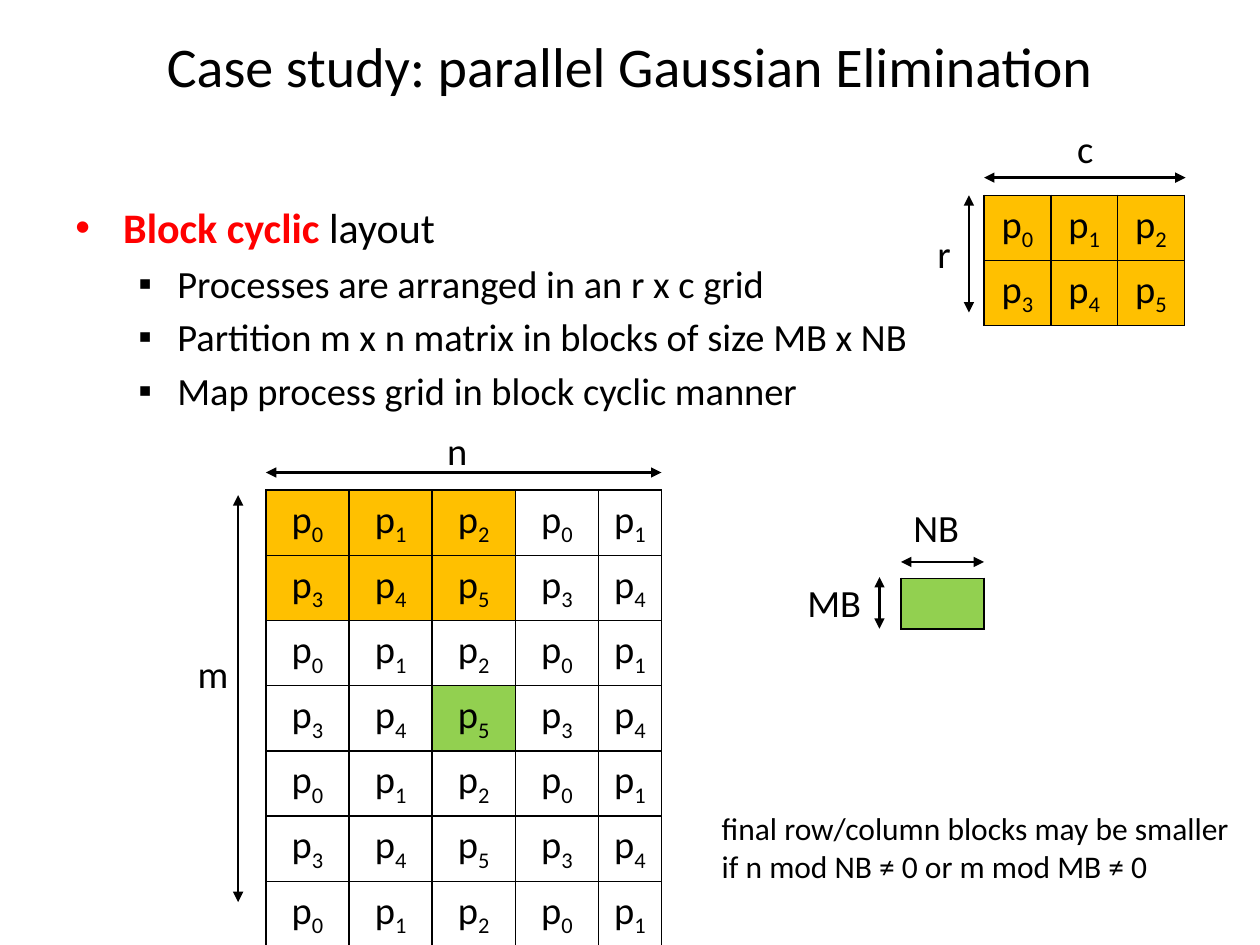
import lxml.etree
import pptx
import pptx.dml.color
import pptx.enum.shapes
import pptx.enum.text
import pptx.oxml
import pptx.oxml.ns
import pptx.util

Inches = pptx.util.Inches
Pt = pptx.util.Pt
qn = pptx.oxml.ns.qn
BLACK, RED, ORANGE, GREEN = "000000", "FF0000", "FFC000", "92D050"


def color(hex_value):
    return pptx.dml.color.RGBColor.from_string(hex_value)


def style_font(font, size):
    font.name = "Calibri"
    font.size = Pt(size)
    font.color.rgb = color(BLACK)


presentation = pptx.Presentation()
presentation.slide_width = Inches(10)
presentation.slide_height = Inches(7.5)
slide = presentation.slides.add_slide(presentation.slide_layouts[5])
shapes = slide.shapes

title = shapes.title
title.left, title.top = Inches(0.5), Inches(0.17)
title.width, title.height = Inches(9), Inches(0.7)
title.text_frame.text = "Case study: parallel Gaussian Elimination"
title.text_frame.vertical_anchor = pptx.enum.text.MSO_ANCHOR.MIDDLE
title.text_frame.paragraphs[0].alignment = pptx.enum.text.PP_ALIGN.CENTER
style_font(title.text_frame.paragraphs[0].font, 32)

bullets = [
    (0, "•", "Arial", 0.38, 0.38, 24, ["Block cyclic", " layout"]),
    (1, "▪", "Wingdings", 0.81, 0.31, 22, ["Processes are arranged in an r x c grid"]),
    (1, "▪", "Wingdings", 0.81, 0.31, 22, ["Partition m x n matrix in blocks of size MB x NB"]),
    (1, "▪", "Wingdings", 0.81, 0.31, 22, ["Map process grid in block cyclic manner"]),
]
body = shapes.add_textbox(Inches(0.5), Inches(1.55), Inches(9), Inches(4.95)).text_frame
body.word_wrap = True
for index, (level, mark, mark_font, margin, hanging, size, texts) in enumerate(bullets):
    paragraph = body.add_paragraph() if index else body.paragraphs[0]
    paragraph.level = level
    paragraph.space_before = Pt(size * 0.2)
    properties = paragraph._p.get_or_add_pPr()
    properties.set("marL", str(Inches(margin)))
    properties.set("indent", str(-Inches(hanging)))
    bullet_font = "Arial" if mark == "▪" else mark_font
    lxml.etree.SubElement(properties, qn("a:buFont")).set("typeface", bullet_font)
    lxml.etree.SubElement(properties, qn("a:buChar")).set("char", mark)
    style_font(paragraph.font, size)
    for text in texts:
        paragraph.add_run().text = text
term = body.paragraphs[0].runs[0].font
term.bold = True
term.color.rgb = color(RED)

process_rows, process_columns = 2, 3
process_block = {(row, column): ORANGE for row in range(process_rows) for column in range(process_columns)}
tables = [
    (7.81, 1.55, [0.53] * 3, [0.41] * 2, process_block, True),
    (2.11, 3.89, [0.66] * 4 + [0.5], [0.3] + [0.41] * 5 + [0.26], {**process_block, (3, 2): GREEN}, True),
    (7.15, 4.59, [0.66], [0.4], {(0, 0): GREEN}, False),
]
for left, top, widths, heights, fills, has_labels in tables:
    table = shapes.add_table(
        len(heights), len(widths), Inches(left), Inches(top), Inches(sum(widths)), Inches(sum(heights))
    ).table
    table.first_row = False
    table.horz_banding = False
    for column, width in enumerate(widths):
        table.columns[column].width = Inches(width)
    for row, height in enumerate(heights):
        table.rows[row].height = Inches(height)
        for column in range(len(widths)):
            cell = table.cell(row, column)
            cell_properties = cell._tc.get_or_add_tcPr()
            for side in ("a:lnL", "a:lnR", "a:lnT", "a:lnB"):
                border = lxml.etree.SubElement(cell_properties, qn(side), w=str(Pt(1)))
                border_fill = lxml.etree.SubElement(border, qn("a:solidFill"))
                lxml.etree.SubElement(border_fill, qn("a:srgbClr"), val=BLACK)
            if (row, column) in fills:
                cell.fill.solid()
                cell.fill.fore_color.rgb = color(fills[row, column])
            else:
                cell.fill.background()
            if has_labels:
                paragraph = cell.text_frame.paragraphs[0]
                paragraph.alignment = pptx.enum.text.PP_ALIGN.CENTER
                style_font(paragraph.font, 22)
                paragraph.add_run().text = "p"
                subscript = paragraph.add_run()
                process = row % process_rows * process_columns + column % process_columns
                subscript.text = str(process)
                subscript._r.get_or_add_rPr().set("baseline", "-25000")

arrows = [
    (9.41, 1.41, 7.81, 1.41),
    (7.69, 2.48, 7.69, 1.55),
    (1.89, 7.16, 1.89, 3.93),
    (2.11, 3.75, 5.25, 3.75),
    (6.98, 4.99, 6.98, 4.58),
    (7.81, 4.46, 7.15, 4.46),
]
for ends in arrows:
    arrow = shapes.add_connector(
        pptx.enum.shapes.MSO_CONNECTOR.STRAIGHT, *[Inches(value) for value in ends]
    )
    arrow.line.color.rgb = color(BLACK)
    arrow.line.width = Pt(1.5)
    outline = arrow.line._get_or_add_ln()
    for end in ("a:headEnd", "a:tailEnd"):
        lxml.etree.SubElement(outline, qn(end)).set("type", "triangle")
    lxml.etree.SubElement(arrow._element.spPr, qn("a:effectLst"))

labels = [
    ("c", 8.45, 0.94, 0.33, 0.47, 22, False),
    ("r", 7.34, 1.78, 0.31, 0.47, 22, False),
    ("m", 1.47, 5.11, 0.45, 0.47, 22, False),
    ("n", 3.45, 3.34, 0.36, 0.47, 22, False),
    ("MB", 6.31, 4.55, 0.63, 0.47, 22, False),
    ("NB", 7.15, 3.95, 0.57, 0.47, 22, False),
    ("final row/column blocks may be smaller if n mod NB ≠ 0 or m mod MB ≠ 0", 5.63, 6.37, 4.24, 0.71, 18, True),
]
for text, left, top, width, height, size, wraps in labels:
    frame = shapes.add_textbox(Inches(left), Inches(top), Inches(width), Inches(height)).text_frame
    frame.word_wrap = wraps
    frame.auto_size = pptx.enum.text.MSO_AUTO_SIZE.SHAPE_TO_FIT_TEXT
    frame.text = text
    style_font(frame.paragraphs[0].font, size)

presentation.save("out.pptx")
